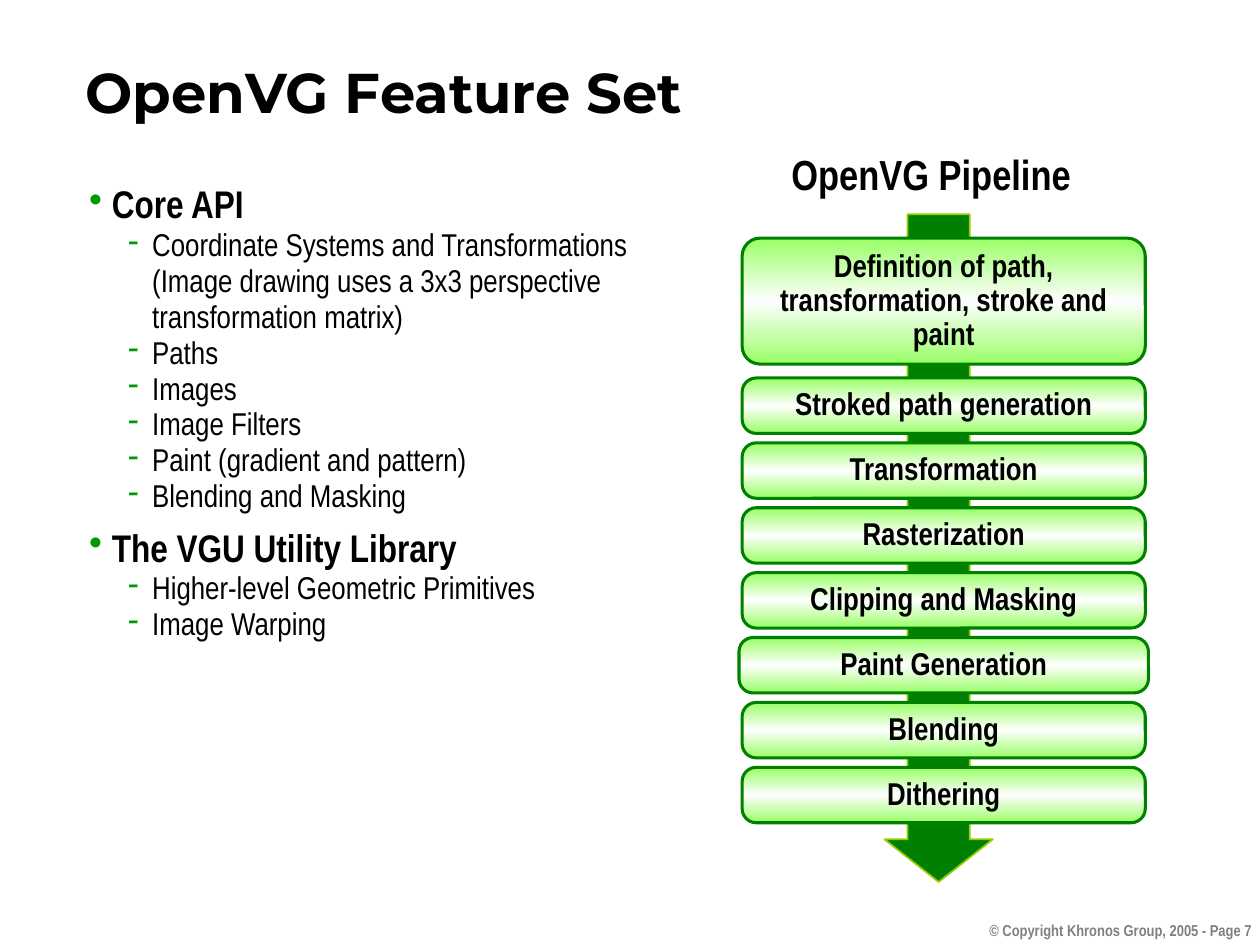
from copy import deepcopy

from lxml import etree
from pptx import Presentation, util as u
from pptx.dml.color import RGBColor
from pptx.enum import shapes, text
from pptx.oxml import ns

COLORS = {
    "black": "000000", "gray": "808080", "bullet": "009900",
    "green": "008000", "lime": "99CC00", "light": "99FF66", "white": "FEFEFE",
}
CELL = 0.1  # inches: the slide is a grid of 100 columns by 75 rows
NARROW, TITLE = "Arial Narrow", "Montserrat"


def rgb(name):
    return RGBColor.from_string(COLORS[name])


def write(para, words, size=18, bold=True, font=NARROW, color="black",
          align=None, spacing=None, before=0):
    """Put words in a paragraph and format them."""
    para.text = words
    para.alignment = align
    para.line_spacing = spacing
    para.space_before = u.Pt(before)
    for span in para.runs:
        span.font.size, span.font.bold = u.Pt(size), bold
        span.font.name, span.font.color.rgb = font, rgb(color)


def add_bullet(para, mark, margin, indent):
    props = para._p.get_or_add_pPr()
    props.set("marL", str(u.Inches(margin)))
    props.set("indent", str(u.Inches(-indent)))
    color = etree.SubElement(props, ns.qn("a:buClr"))
    etree.SubElement(color, ns.qn("a:srgbClr"), val=COLORS["bullet"])
    etree.SubElement(props, ns.qn("a:buChar"), char=mark)


class SlideBuilder:
    def __init__(self, deck):
        self.page = deck.slides.add_slide(deck.slide_layouts[6])

    def place(self, *cells):
        return [u.Inches(round(cell * CELL, 3)) for cell in cells]

    def label(self, words, *cells, anchor=text.MSO_ANCHOR.TOP, wrap=True, **style):
        box = self.page.shapes.add_textbox(*self.place(*cells))
        frame = box.text_frame
        frame.word_wrap, frame.vertical_anchor = wrap, anchor
        write(frame.paragraphs[0], words, **style)

    def outline(self, sections, *cells):
        frame = self.page.shapes.add_textbox(*self.place(*cells)).text_frame
        frame.word_wrap = True
        para = frame.paragraphs[0]
        for number, (heading, items) in enumerate(sections):
            if number:
                para = frame.add_paragraph()
            add_bullet(para, "•", 0.18, 0.18)
            write(para, heading, size=22, spacing=0.95, before=6.9 if number else 0)
            for item in items:
                para = frame.add_paragraph()
                para.level = 1
                add_bullet(para, "-", 0.5, 0.19)
                write(para, item, bold=False, spacing=0.95)

    def shape(self, kind, cells, adjustments, line, width):
        shape = self.page.shapes.add_shape(kind, *self.place(*cells))
        shape.shadow.inherit = False
        for index, value in enumerate(adjustments):
            shape.adjustments[index] = value
        shape.line.color.rgb, shape.line.width = rgb(line), u.Pt(width)
        return shape

    def arrow(self, *cells):
        arrow = self.shape(shapes.MSO_SHAPE.DOWN_ARROW, cells, (0.573, 0.393), "lime", 1)
        arrow.fill.solid()
        arrow.fill.fore_color.rgb = rgb("green")

    def stage(self, words, *cells, corner=0.255):
        stage = self.shape(shapes.MSO_SHAPE.ROUNDED_RECTANGLE, cells, (corner,),
                           "green", 1.75)
        # Light edges around a white middle
        stage.fill.gradient()
        stage.fill.gradient_angle = 90
        stop_list = stage._element.spPr.find(ns.qn("a:gradFill")).find(ns.qn("a:gsLst"))
        stop_list.append(deepcopy(stop_list[-1]))
        for stop, name, position in zip(stage.fill.gradient_stops,
                                        ("light", "white", "light"), (0, 0.5, 1)):
            stop.color.rgb, stop.position = rgb(name), position
        frame = stage.text_frame
        frame.word_wrap, frame.vertical_anchor = True, text.MSO_ANCHOR.MIDDLE
        write(frame.paragraphs[0], words, align=text.PP_ALIGN.CENTER, spacing=0.9)


FEATURES = [
    ("Core API", [
        "Coordinate Systems and Transformations\v"
        "(Image drawing uses a 3x3 perspective\vtransformation matrix)",
        "Paths", "Images", "Image Filters", "Paint (gradient and pattern)",
        "Blending and Masking"]),
    ("The VGU Utility Library", ["Higher-level Geometric Primitives", "Image Warping"]),
]
STAGES = ["Stroked path generation", "Transformation", "Rasterization",
          "Clipping and Masking", "Paint Generation", "Blending", "Dithering"]


def main():
    deck = Presentation()
    deck.slide_width, deck.slide_height = u.Inches(10), u.Inches(7.5)
    builder = SlideBuilder(deck)

    # Footer, title and feature list
    builder.label("© Copyright Khronos Group, 2005 - Page 7", 76.4, 72.6, 23.9, 3.3,
                  size=9, color="gray", align=text.PP_ALIGN.RIGHT)
    builder.label("OpenVG Feature Set", 5.8, 5.1, 93.7, 4.2, size=32, font=TITLE,
                  anchor=text.MSO_ANCHOR.MIDDLE)
    builder.outline(FEATURES, 6.1, 14.1, 50, 40)

    # Pipeline: stages at equal steps over one arrow
    builder.label("OpenVG Pipeline", 61.8, 12.4, 24.2, 3.8, wrap=False, size=24,
                  align=text.PP_ALIGN.CENTER, spacing=0.7)
    builder.arrow(70.2, 17, 8.6, 53)
    builder.stage("Definition of path, transformation, stroke and paint",
                  58.9, 18.9, 32, 10, corner=0.143)
    for row, words in enumerate(STAGES):
        extra = 0.25 if words == "Paint Generation" else 0
        builder.stage(words, 58.9 - extra, 30 + 5.15 * row, 32 + 2 * extra, 4.4)

    deck.save("out.pptx")


if __name__ == "__main__":
    main()
